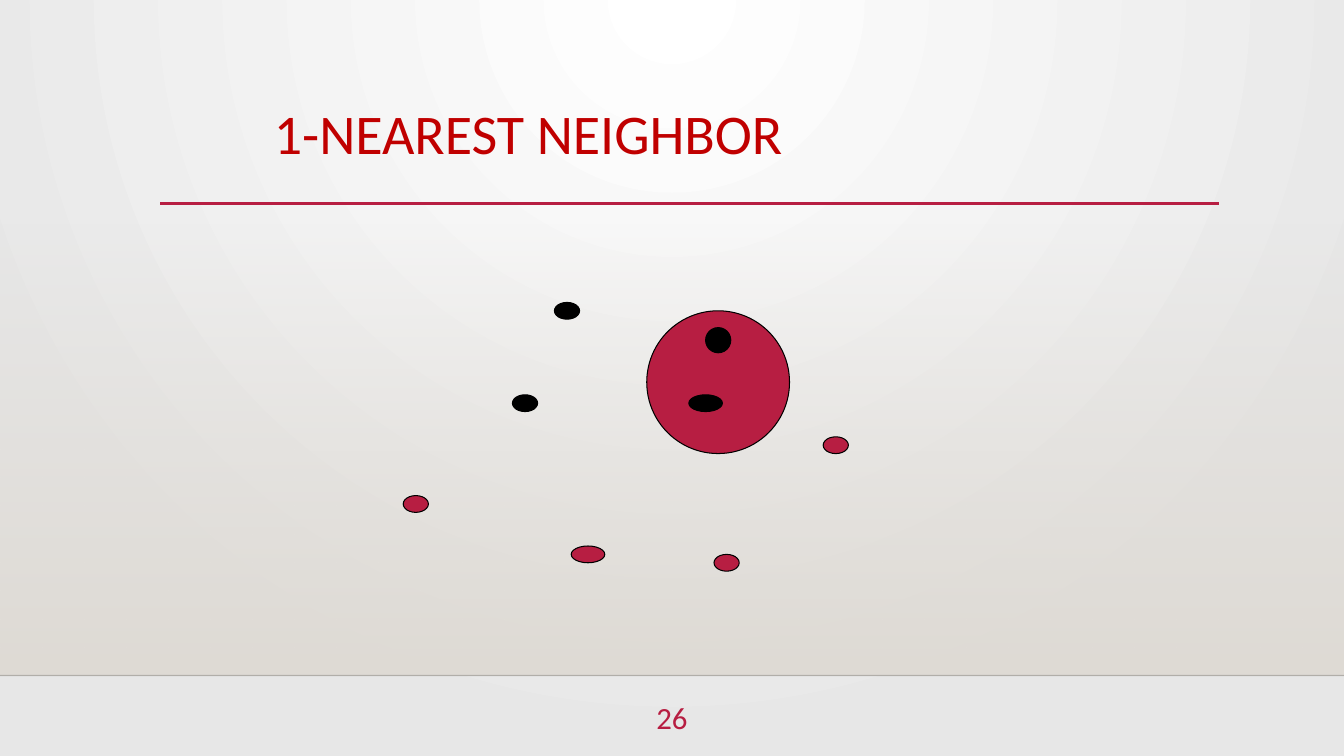
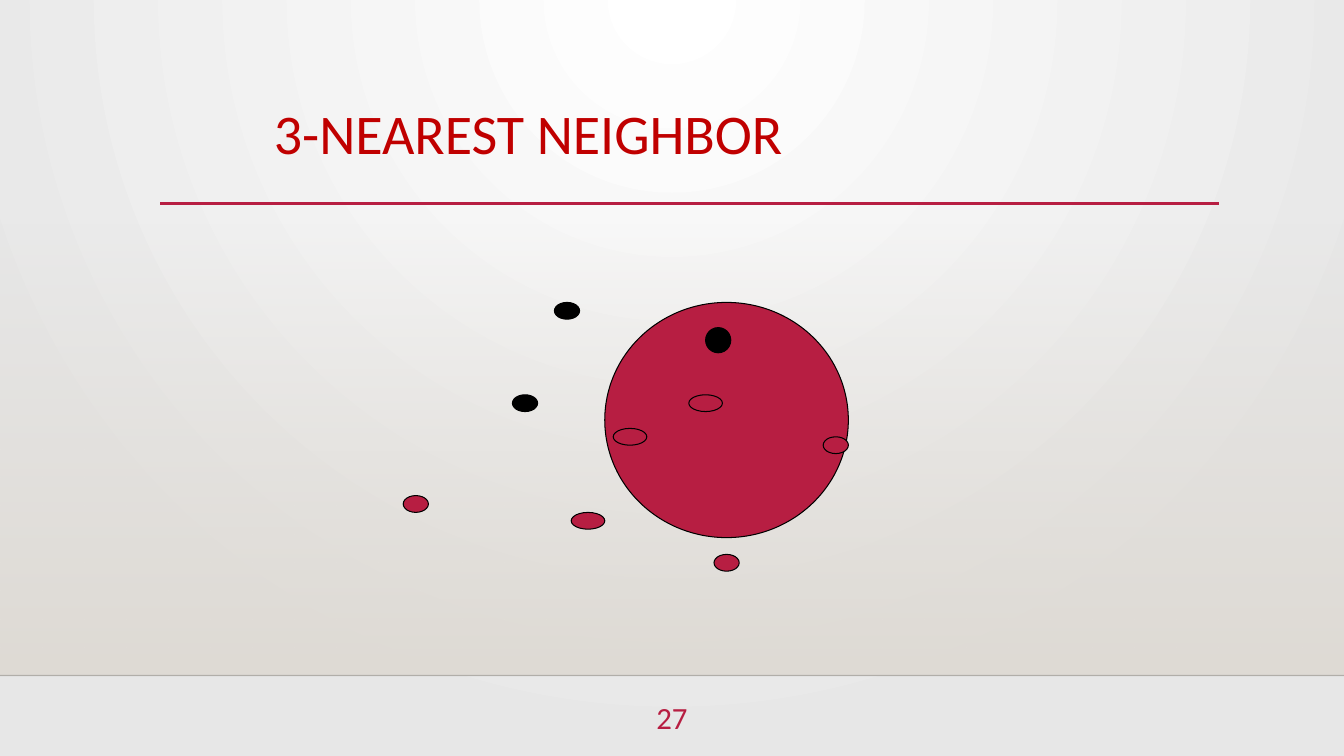
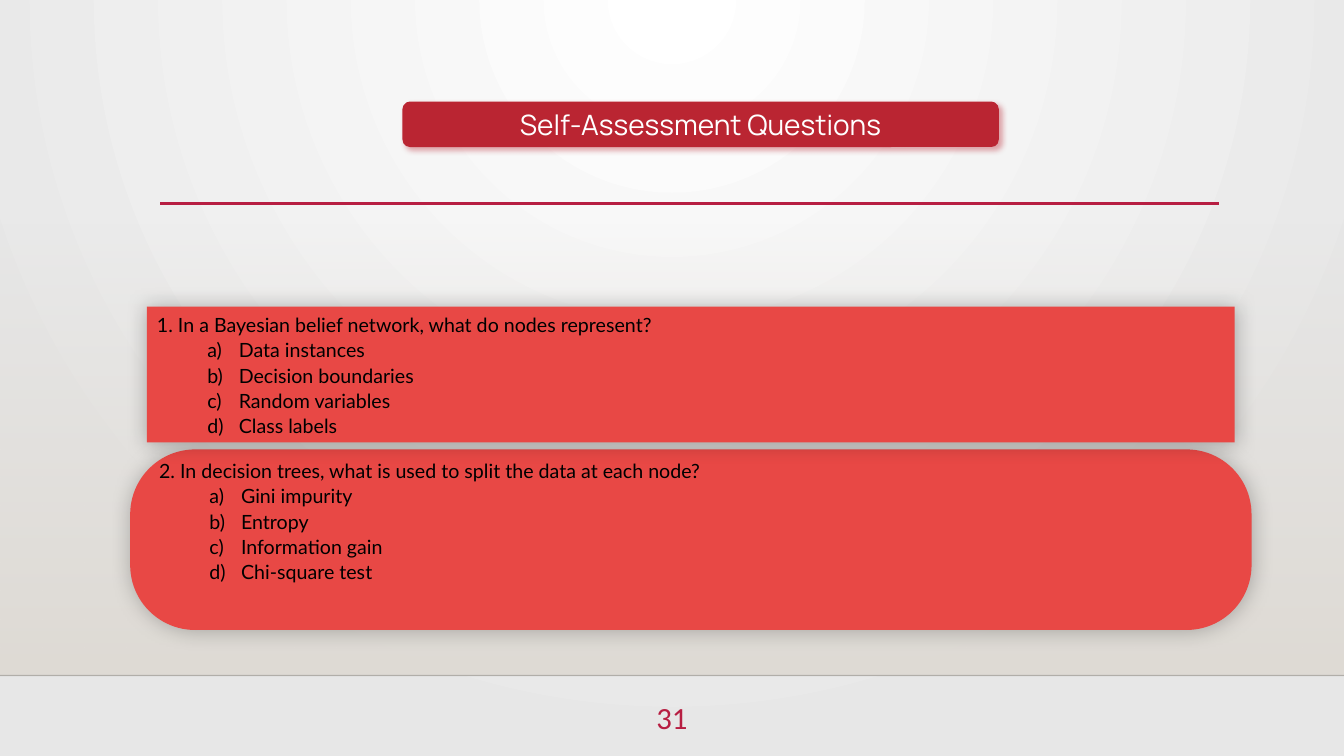
from lxml.etree import SubElement
from pptx import Presentation
from pptx.dml.color import RGBColor
from pptx.enum.shapes import MSO_CONNECTOR as Connector, MSO_SHAPE as Preset
from pptx.enum.text import MSO_ANCHOR as Anchor, PP_ALIGN as Align
from pptx.oxml.ns import qn
from pptx.util import Pt

WIDTH, HEIGHT = 960, 540
FIELD = (288, 216)
RED, BLACK, CARD = "B71E42", "000000", "E84845"
TITLE = {"name": "Calibri", "size": 40, "color": "C00000"}
NUMBER = {"name": "Calibri", "size": 22, "color": RED}
HEADING = {"name": "Manrope", "size": 20, "color": "FFFFFF"}
QUESTION = {"name": "Lato", "size": 14, "color": BLACK}
HEADING_SHADOW = {"color": "BA2532", "alpha": 40, "blur": 4, "dist": 3, "angle": 45}
CARD_SHADOW = {"color": BLACK, "alpha": 25, "blur": 15, "dist": 0, "angle": 0}

COMMON_POINTS = [
    (78, 66, 18, 12, BLACK),
    (108, 0, 18, 12, BLACK),
    (216, 18, 18, 18, BLACK),
    (300, 96, 18, 12, RED),
    (0, 138, 18, 12, RED),
    (222, 180, 18, 12, RED),
]
NEIGHBOR_SLIDES = [
    {
        "title": "1-NEAREST NEIGHBOR", "title_width": 451, "number": "26",
        "circle": (174, 6, 102, 102, RED),
        "points": [(120, 174, 24, 12, RED), (204, 66, 24, 12, BLACK)],
    },
    {
        "title": "3-NEAREST NEIGHBOR", "title_width": 643, "number": "27",
        "circle": (144, 0, 174, 168, RED),
        "points": [(204, 66, 24, 12, RED), (120, 150, 24, 12, RED), (150, 90, 24, 12, RED)],
    },
]


def color(code):
    """Turn a hex string into a colour."""
    return RGBColor.from_string(code)


def add_color(parent, code, alpha=100):
    """Append a colour element with an opacity in percent."""
    element = SubElement(parent, qn("a:srgbClr"), val=code)
    SubElement(element, qn("a:alpha"), val=str(alpha * 1000))


def set_gradient(fill, root, stops):
    """Give a fill the stops and return its emptied gradient element."""
    fill.gradient()
    gradient = root.find(".//" + qn("a:gradFill"))
    for child in list(gradient):
        gradient.remove(child)
    stop_list = SubElement(gradient, qn("a:gsLst"))
    for position, code, alpha in stops:
        stop = SubElement(stop_list, qn("a:gs"), pos=str(position * 1000))
        add_color(stop, code, alpha)
    return gradient


def set_background(master):
    """Spread light from the top centre of every slide."""
    stops = [(0, "FFFFFF", 100), (100, "E7E7E7", 100)]
    gradient = set_gradient(master.background.fill, master.element, stops)
    glow = SubElement(gradient, qn("a:path"), path="circle")
    SubElement(glow, qn("a:fillToRect"), l="43000", t="0", r="43000", b="100000")


def add_shape(page, preset, box, fill=None, line=None, shadow=None):
    """Add a preset shape with its fill, outline and shadow."""
    shape = page.shapes.add_shape(preset, *map(Pt, box))
    shape.shadow.inherit = False
    if fill:
        shape.fill.solid()
        shape.fill.fore_color.rgb = color(fill)
    if line:
        shape.line.color.rgb = color(line)
        shape.line.width = Pt(0.75)
    else:
        shape.line.fill.background()
    if shadow:
        effects = shape.element.spPr.find(qn("a:effectLst"))
        values = {"blurRad": Pt(shadow["blur"]), "dist": Pt(shadow["dist"]),
                  "dir": shadow["angle"] * 60000}
        outer = SubElement(effects, qn("a:outerShdw"), algn="ctr", rotWithShape="0",
                           **{name: str(int(value)) for name, value in values.items()})
        add_color(outer, shadow["color"], shadow["alpha"])
    return shape


def add_rule(page, left, right, top, code, width, alpha=100):
    """Draw a horizontal line."""
    rule = page.shapes.add_connector(Connector.STRAIGHT, Pt(left), Pt(top), Pt(right), Pt(top))
    rule.line.color.rgb = color(code)
    rule.line.width = Pt(width)
    properties = rule.element.spPr
    SubElement(properties.find(".//" + qn("a:srgbClr")), qn("a:alpha"), val=str(alpha * 1000))
    SubElement(properties, qn("a:effectLst"))


def write(para, text, style, **layout):
    """Write one run with its font and paragraph layout."""
    for name, value in layout.items():
        setattr(para, name, value)
    span = para.add_run()
    span.text = text
    span.font.color.rgb = color(style["color"])
    for name, value in {"name": style["name"], "size": Pt(style["size"])}.items():
        setattr(span.font, name, value)


def add_text(page, box, text, style, anchor=Anchor.TOP, **layout):
    """Add a wrapping text box with one paragraph."""
    frame = page.shapes.add_textbox(*map(Pt, box)).text_frame
    frame.word_wrap = True
    frame.vertical_anchor = anchor
    write(frame.paragraphs[0], text, style, **layout)


def add_page(deck, number):
    """Add a slide with the shared band, rules and page number."""
    page = deck.slides.add_slide(deck.slide_layouts[6])
    band = add_shape(page, Preset.RECTANGLE, (0, 159, WIDTH, 323.5))
    gradient = set_gradient(band.fill, band.element, [(0, "DFDBD5", 0), (100, "DFDBD5", 100)])
    SubElement(gradient, qn("a:lin"), ang="5400000", scaled="0")
    add_rule(page, 0, WIDTH, 482.5, "000001", 1, 20)
    add_rule(page, 114.5, 871, 145.25, RED, 2.5)
    add_text(page, (448, 495.5, 64, 39.5), number, NUMBER, alignment=Align.CENTER)
    return page


def add_points(page, origin, points):
    """Place outlined ellipses relative to the corner of the field."""
    left, top = origin
    for x, y, width, height, fill in points:
        add_shape(page, Preset.OVAL, (left + x, top + y, width, height), fill, BLACK)


def neighbor_slide(deck, content):
    """Build a slide that circles the nearest neighbors of a point."""
    page = add_page(deck, content["number"])
    add_text(page, (188.5, 67.5, content["title_width"], 60), content["title"], TITLE,
             Anchor.MIDDLE, line_spacing=0.9)
    add_points(page, FIELD, [content["circle"], *COMMON_POINTS, *content["points"]])


def question_card(page, preset, box, question, answers, bottom=3.6):
    """Add a card with a question and its lettered answers."""
    card = add_shape(page, preset, box, CARD, shadow=CARD_SHADOW)
    if preset == Preset.ROUNDED_RECTANGLE:
        card.adjustments[0] = 0.36
    frame = card.text_frame
    frame.word_wrap = True
    frame.vertical_anchor = Anchor.MIDDLE
    frame.margin_bottom = Pt(bottom)
    layout = {"alignment": Align.LEFT, "line_spacing": 1.07}
    write(frame.paragraphs[0], question, QUESTION, **layout)
    for answer in answers:
        para = frame.add_paragraph()
        para.level = 1
        properties = para._p.get_or_add_pPr()
        properties.set("marL", str(int(Pt(58.5))))
        properties.set("indent", str(int(Pt(-22.5))))
        SubElement(properties, qn("a:buAutoNum"), type="alphaLcParenR")
        write(para, answer, QUESTION, **layout)


def assessment_slide(deck):
    """Build the slide with the self-assessment questions."""
    page = add_page(deck, "31")
    heading = add_shape(page, Preset.ROUNDED_RECTANGLE, (287.5, 72.5, 426, 32.5), "BA2532",
                        shadow=HEADING_SHADOW)
    heading.text_frame.vertical_anchor = Anchor.MIDDLE
    write(heading.text_frame.paragraphs[0], "Self-Assessment Questions", HEADING,
          alignment=Align.CENTER)
    question_card(page, Preset.ROUNDED_RECTANGLE, (93, 321, 801, 129),
                  "2. In decision trees, what is used to split the data at each node?",
                  ["Gini impurity", "Entropy", "Information gain", "Chi-square test"], 31)
    question_card(page, Preset.RECTANGLE, (105, 219, 777, 97),
                  "1. In a Bayesian belief network, what do nodes represent?",
                  ["Data instances", "Decision boundaries", "Random variables", "Class labels"])


def main():
    """Build and save the deck."""
    deck = Presentation()
    deck.slide_width, deck.slide_height = Pt(WIDTH), Pt(HEIGHT)
    set_background(deck.slide_master)
    for content in NEIGHBOR_SLIDES:
        neighbor_slide(deck, content)
    assessment_slide(deck)
    deck.save("out.pptx")


if __name__ == "__main__":
    main()
